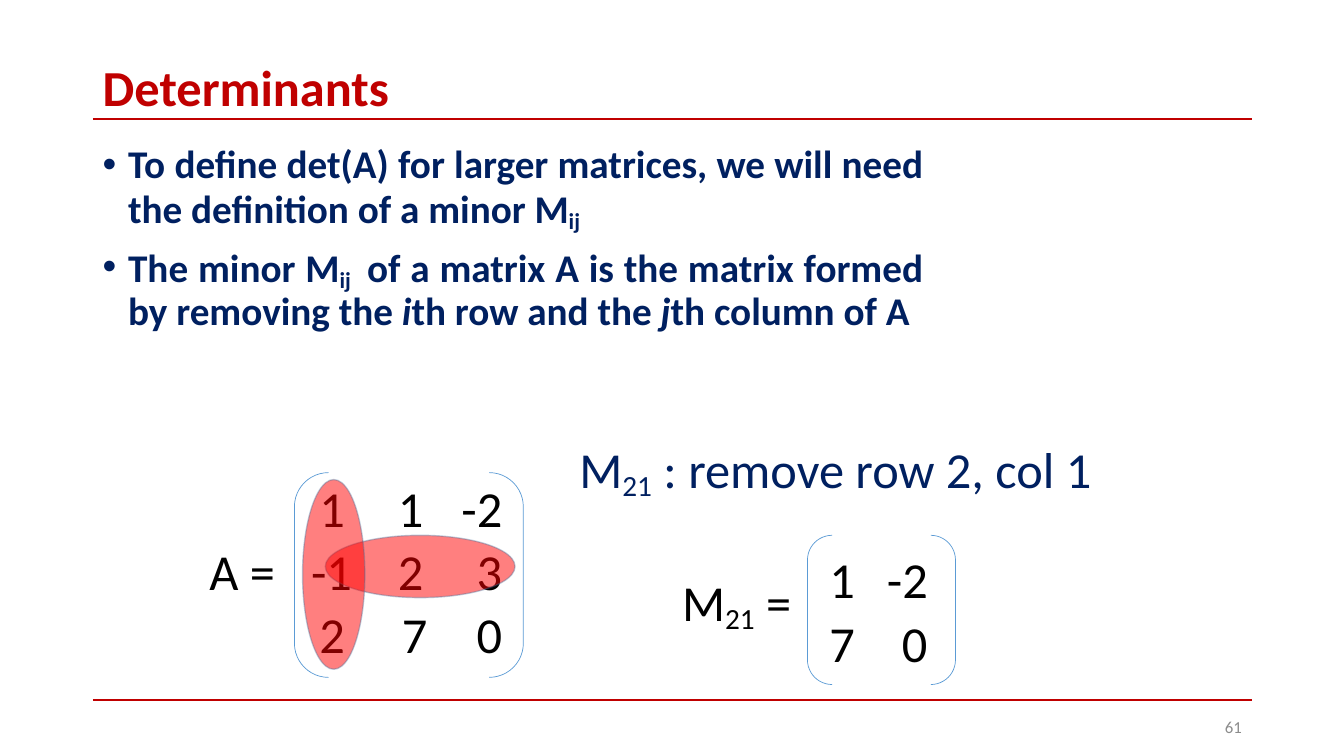
from dataclasses import dataclass
from lxml import etree
from pptx import Presentation
from pptx.dml.color import RGBColor
from pptx.enum.shapes import MSO_CONNECTOR, MSO_SHAPE
from pptx.enum.text import MSO_ANCHOR, PP_ALIGN
from pptx.oxml.ns import qn
from pptx.util import Cm, Pt

STRAIGHT = MSO_CONNECTOR.STRAIGHT
BRACKETS, OVAL = MSO_SHAPE.DOUBLE_BRACKET, MSO_SHAPE.OVAL
TOP, MIDDLE = MSO_ANCHOR.TOP, MSO_ANCHOR.MIDDLE
LEFT, RIGHT, JUSTIFY = PP_ALIGN.LEFT, PP_ALIGN.RIGHT, PP_ALIGN.JUSTIFY


@dataclass(frozen=True)
class Theme:
    font: str = "Calibri"
    red: RGBColor = RGBColor(0xC0, 0x00, 0x00)
    navy: RGBColor = RGBColor(0x00, 0x20, 0x60)
    black: RGBColor = RGBColor(0x00, 0x00, 0x00)
    grey: RGBColor = RGBColor(0x8C, 0x8C, 0x8C)
    bracket: RGBColor = RGBColor(0x5B, 0x9B, 0xD5)
    strike: RGBColor = RGBColor(0xFF, 0x00, 0x00)
    strike_edge: RGBColor = RGBColor(0x43, 0x73, 0x9E)
    large: Pt = Pt(36)
    body: Pt = Pt(28)
    small: Pt = Pt(12)


theme = Theme()

prs = Presentation()
prs.slide_width, prs.slide_height = Cm(33.87), Cm(19.05)
slide = prs.slides.add_slide(prs.slide_layouts[6])
shapes = slide.shapes


def add_text(box, paragraphs, size, color, bold=False, align=LEFT,
             anchor=TOP, wrap=True, spacing=None, bullet=None):
    """Write paragraphs of (text, style) runs; style is "", "sub" or "italic"."""
    frame = shapes.add_textbox(*map(Cm, box)).text_frame
    frame.word_wrap, frame.vertical_anchor = wrap, anchor
    for index, runs in enumerate(paragraphs):
        paragraph = frame.add_paragraph() if index else frame.paragraphs[0]
        paragraph.alignment = align
        if spacing:
            paragraph.line_spacing = spacing
        if index:
            paragraph.space_before = Pt(10)
        if bullet:
            properties = paragraph._p.get_or_add_pPr()
            properties.set("marL", str(Cm(0.64)))
            properties.set("indent", str(-Cm(0.64)))
            etree.SubElement(properties, qn("a:buFont")).set("typeface", "Arial")
            etree.SubElement(properties, qn("a:buChar")).set("char", bullet)
        font = paragraph.font
        font.name, font.size, font.bold = theme.font, size, bold
        font.color.rgb = color
        for text, style in runs:
            run = paragraph.add_run()
            run.text = text
            if style == "sub":
                run._r.get_or_add_rPr().set("baseline", "-16000")
            elif style == "italic":
                run.font.italic = True


def set_opacity(fill_format, percent):
    color = fill_format._xPr.find(qn("a:solidFill"))[0]
    etree.SubElement(color, qn("a:alpha")).set("val", str(percent * 1000))


# Title, rules and page number
for rule_y in (3, 17.65):
    rule = shapes.add_connector(STRAIGHT, Cm(2.34), Cm(rule_y), Cm(31.55), Cm(rule_y))
    rule.line.color.rgb, rule.line.width = theme.red, Pt(1.5)
    etree.SubElement(rule._element.spPr, qn("a:effectLst"))

add_text((2.34, 1.55, 29.21, 1.47), [[("Determinants", "")]], theme.large,
         theme.red, bold=True, anchor=MIDDLE, spacing=0.9)
add_text((23.93, 17.81, 7.62, 1.02), [[("61", "")]], theme.small, theme.grey,
         align=RIGHT, anchor=MIDDLE)

# Definition of a minor
definition = [
    [("To define det(A) for larger matrices, we will need the definition of a minor M", ""),
     ("ij", "sub")],
    [("The minor M", ""), ("ij ", "sub"),
     (" of a matrix A is the matrix formed by removing the ", ""),
     ("i", "italic"), ("th row and the ", ""),
     ("j", "italic"), ("th column of A", "")],
]
add_text((2.34, 3.53, 21.18, 13.64), definition, theme.body, theme.navy,
         bold=True, align=JUSTIFY, spacing=0.9, bullet="•")

# Matrices: bracket box, first row top, row pitch, rows of (left, entry)
matrices = [
    ((7.42, 11.91, 5.77, 5.16), 11.91, 1.58,
     [[(7.8, "1"), (9.78, "1"), (11.38, "-2")],
      [(7.59, "-1"), (9.78, "2"), (11.76, "3")],
      [(7.8, "2"), (9.88, "7"), (11.76, "0")]]),
    ((20.35, 13.49, 3.73, 3.76), 13.69, 1.6,
     [[(20.65, "1"), (22.1, "-2")],
      [(20.65, "7"), (22.48, "0")]]),
]
for bracket_box, first_top, pitch, rows in matrices:
    brackets = shapes.add_shape(BRACKETS, *map(Cm, bracket_box))
    brackets.shadow.inherit = False
    brackets.fill.background()
    brackets.line.color.rgb, brackets.line.width = theme.bracket, Pt(0.5)
    for row_number, row in enumerate(rows):
        for left, entry in row:
            add_text((left, first_top + row_number * pitch, 1.78, 1.8),
                     [[(entry, "")]], theme.large, theme.black)

# Labels
labels = [
    ((5.03, 13.49, 2.18, 1.8), [("A =", "")], theme.black),
    ((16.94, 14.27, 3.4, 1.8), [("M", ""), ("21", "sub"), (" =", "")], theme.black),
    ((14.35, 10.92, 13.67, 1.8),
     [("M", ""), ("21", "sub"), (" : remove row 2, col 1", "")], theme.navy),
]
for label_box, runs, color in labels:
    add_text(label_box, [runs], theme.large, color, wrap=False)

# Removed row 2 and column 1
for left, top, rotation in ((8.2, 13.49, 0), (6.02, 13.69, 90)):
    removed = shapes.add_shape(OVAL, Cm(left), Cm(top), Cm(4.78), Cm(1.57))
    removed.rotation = rotation
    removed.shadow.inherit = False
    removed.fill.solid()
    removed.fill.fore_color.rgb = theme.strike
    removed.line.color.rgb, removed.line.width = theme.strike_edge, Pt(1)
    for properties, percent in ((removed.fill, 50), (removed.line.fill, 36)):
        set_opacity(properties, percent)

prs.save("out.pptx")
